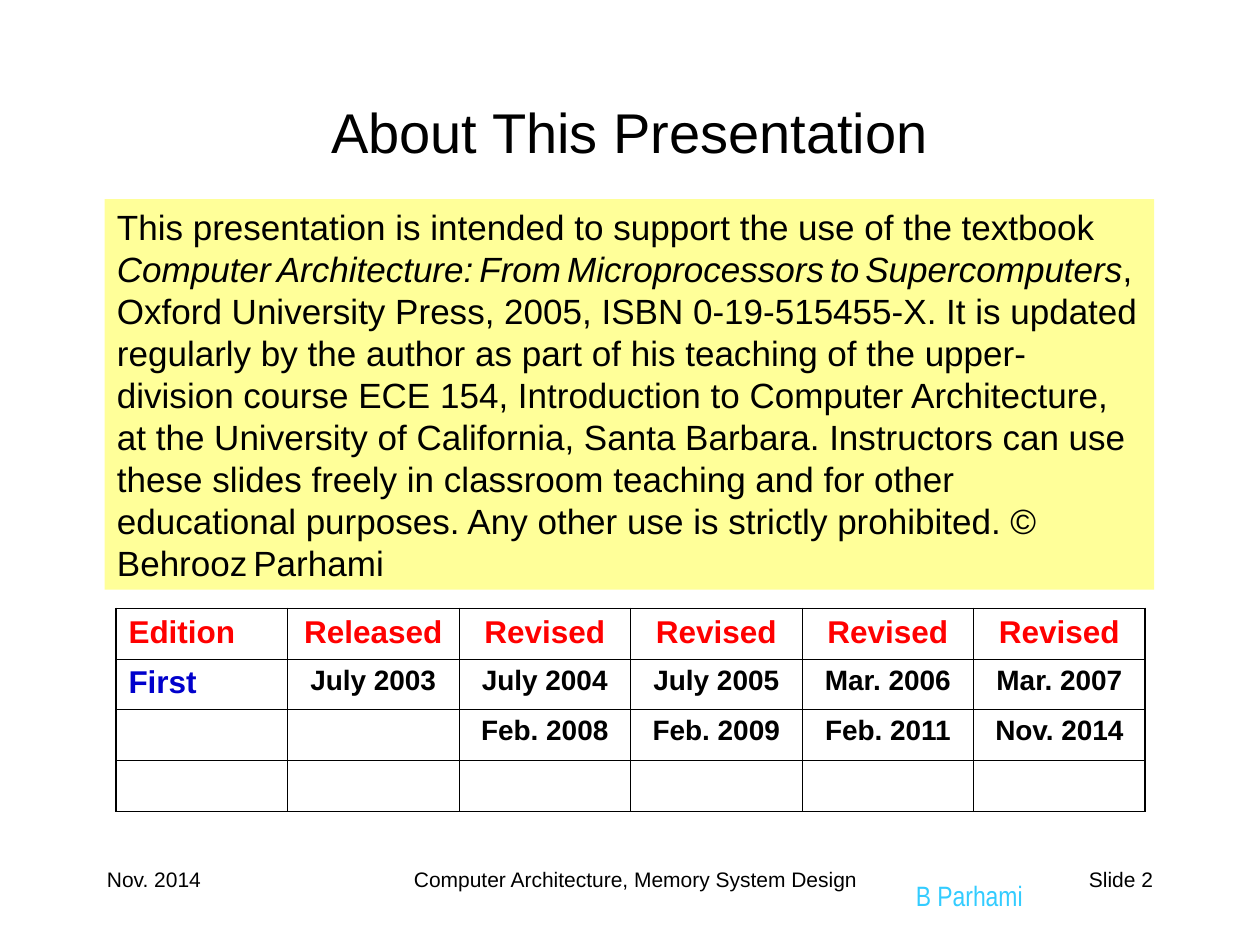
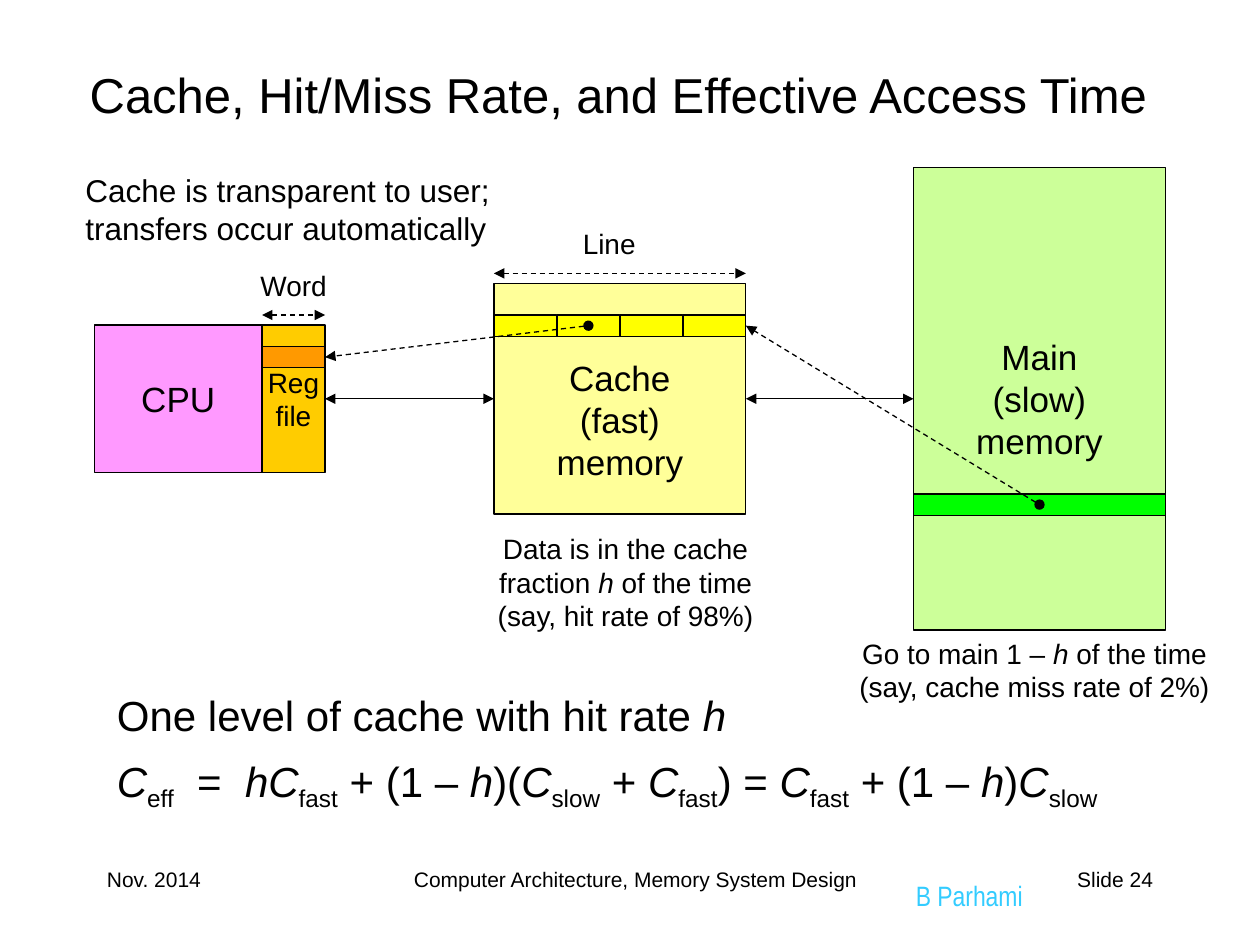
from pptx import Presentation
from pptx.dml.color import RGBColor as RGB
from pptx.enum.dml import MSO_LINE as DASH
from pptx.enum.shapes import MSO_CONNECTOR as LINK, MSO_SHAPE as SHAPE
from pptx.enum.text import MSO_ANCHOR as ANCHOR, MSO_AUTO_SIZE as FIT, PP_ALIGN as ALIGN
from pptx.oxml.ns import qn
from pptx.util import Inches, Pt
from lxml.etree import SubElement, Element

BLACK = RGB(0, 0, 0)
RED = RGB(255, 0, 0)
BLUE = RGB(0, 0, 204)
SKY = RGB(51, 204, 255)
CREAM = RGB(255, 255, 153)
YELLOW = RGB(255, 255, 0)
PINK = RGB(255, 153, 255)
GOLD = RGB(255, 204, 0)
ORANGE = RGB(255, 153, 0)
LIME = RGB(204, 255, 153)
GREEN = RGB(0, 255, 0)

FONT = "Arial"
NARROW = "Arial Narrow"
HAIR, EDGE = Pt(0.45), Pt(1.08)
SLOT = 0.17
WORD = 0.5


def inch(*sizes):
    return [Inches(size) for size in sizes]


def write(frame, *paras, size=16, color=BLACK, font=FONT, bold=False,
          align=ALIGN.LEFT, anchor=ANCHOR.TOP, wrap=True, gap=0, drop=0):
    frame.word_wrap = wrap
    frame.auto_size = FIT.NONE
    frame.vertical_anchor = anchor
    frame.margin_left = frame.margin_right = Inches(0.1)
    frame.margin_top = Inches(0.05 + drop)
    frame.margin_bottom = Inches(0.05)
    for n, runs in enumerate(paras):
        para = frame.add_paragraph() if n else frame.paragraphs[0]
        para.alignment = align
        if n and gap:
            para.space_before = Pt(gap)
        for text, style in [(runs, "")] if isinstance(runs, str) else runs:
            run = para.add_run()
            run.text = text
            run.font.name = font
            run.font.size = Pt(12 if "thin" in style else size)
            run.font.bold = bold
            run.font.italic = "ital" in style
            run.font.color.rgb = color
            if "sub" in style:
                run._r.get_or_add_rPr().set("baseline", "-25000")


def label(slide, box, *paras, **form):
    write(slide.shapes.add_textbox(*inch(*box)).text_frame, *paras, **form)


def block(slide, box, fill, *paras, line=True, **form):
    shape = slide.shapes.add_shape(SHAPE.RECTANGLE, *inch(*box))
    shape.shadow.inherit = False
    shape.fill.solid()
    shape.fill.fore_color.rgb = fill
    if line:
        shape.line.color.rgb = BLACK
        shape.line.width = Pt(0.75)
    else:
        shape.line.fill.background()
    if paras:
        write(shape.text_frame, *paras, **form)
    return shape


def center(shape):
    return shape.left + shape.width // 2, shape.top + shape.height // 2


def arrow(slide, start, end, head="triangle", dash=True):
    link = slide.shapes.add_connector(LINK.STRAIGHT, 0, 0, 0, 0)
    if isinstance(start[0], int):
        link.begin_x, link.begin_y = start
    else:
        link.begin_connect(*start)
    if isinstance(end[0], int):
        link.end_x, link.end_y = end
    else:
        link.end_connect(*end)
    link.line.color.rgb = BLACK
    link.line.width = Pt(0.75)
    if dash:
        link.line.dash_style = DASH.DASH
    ln = link.line._get_or_add_ln()
    SubElement(ln, qn("a:headEnd"), type=head)
    SubElement(ln, qn("a:tailEnd"), type="triangle")
    SubElement(link._element.spPr, qn("a:effectLst"))


def span(slide, left, top, width):
    arrow(slide, inch(left, top), inch(left + width, top))


def start(deck, title, box, size, number):
    slide = deck.slides.add_slide(deck.slide_layouts[5])
    head = slide.shapes.title
    head.left, head.top, head.width, head.height = inch(*box)
    write(head.text_frame, title, size=size, align=ALIGN.CENTER, anchor=ANCHOR.MIDDLE)
    footer(slide, (0.75, 6.83, 8.5, 0.5), number)
    return slide


def footer(slide, box, number):
    left, top, width, height = box
    side = 2.08
    label(slide, (left, top, side, height), "Nov. 2014", size=12)
    label(slide, (left + 1.67, top, 5.25, height),
          "Computer Architecture, Memory System Design", size=12, align=ALIGN.CENTER)
    label(slide, (left + width - side, top, side, height), f"Slide {number}",
          size=12, align=ALIGN.RIGHT)
    label(slide, (left + width - side, top + 0.09, 1.08, 0.42), "B Parhami",
          color=SKY, font=NARROW, wrap=False)


def spaced(text, style):
    runs = []
    for word in text.split():
        runs += [(word, style), (" ", style + " thin")]
    return runs[:-1]


def intro(slide, box):
    block(slide, box, CREAM, [
        ("This presentation is intended to support the use of the textbook ", ""),
        *spaced("Computer Architecture: From Microprocessors to Supercomputers", "ital"),
        (", Oxford University Press, 2005, ISBN 0-19-515455-X. It is updated regularly "
         "by the author as part of his teaching of the upper-division course ECE 154, "
         "Introduction to Computer Architecture, at the University of California, "
         "Santa Barbara. Instructors can use these slides freely in classroom teaching "
         "and for other educational purposes. Any other use is strictly prohibited. ", ""),
        *spaced("© Behrooz Parhami", ""),
    ], line=False, size=20)


def border(cell, widths):
    props = cell._tc.get_or_add_tcPr()
    for n, (side, width) in enumerate(zip("LRTB", widths)):
        ln = Element(qn(f"a:ln{side}"), w=str(int(width)))
        fill = SubElement(ln, qn("a:solidFill"))
        SubElement(fill, qn("a:srgbClr"), val=str(BLACK))
        props.insert(n, ln)


def dates(slide, box):
    rows = [
        ["Edition", "Released"] + ["Revised"] * 4,
        ["First", "July 2003", "July 2004", "July 2005", "Mar. 2006", "Mar. 2007"],
        ["", "", "Feb. 2008", "Feb. 2009", "Feb. 2011", "Nov. 2014"],
        [""] * 6,
    ]
    last, end = len(rows) - 1, len(rows[0]) - 1
    table = slide.shapes.add_table(len(rows), len(rows[0]), *inch(*box)).table
    table.first_row = table.horz_banding = False
    for r, row in enumerate(rows):
        for c, text in enumerate(row):
            cell = table.cell(r, c)
            cell.fill.background()
            border(cell, [EDGE if edge else HAIR
                          for edge in (c == 0, c == end, r == 0, r == last)])
            if text:
                write(cell.text_frame, text, bold=True,
                      size=18 if r == 0 or c == 0 else 16,
                      color=RED if r == 0 else BLUE if c == 0 else BLACK,
                      align=ALIGN.CENTER if c else ALIGN.LEFT)


def core(slide, box):
    left, top, width, height = box
    form = dict(align=ALIGN.CENTER, anchor=ANCHOR.MIDDLE, wrap=False)
    block(slide, (left, top, width - WORD, height), PINK, "CPU", size=20, **form)
    edge = left + width - WORD
    file = block(slide, (edge, top, WORD, height), GOLD, "Reg", "file", **form)
    word = block(slide, (edge, top + SLOT, WORD, SLOT), ORANGE)
    span(slide, edge, top - 0.08, WORD)
    label(slide, (edge - 0.25, top - 0.5, 1, 0.37), "Word", align=ALIGN.CENTER)
    return file, word


def cache(slide, box):
    left, top, width, height = box
    body = block(slide, box, CREAM, "Cache", "(fast)", "memory", size=20,
                 align=ALIGN.CENTER, anchor=ANCHOR.MIDDLE, wrap=False, drop=0.33)
    words = [block(slide, (left + n * WORD, top + 0.25, WORD, SLOT), YELLOW)
             for n in range(4)]
    span(slide, left, top - 0.08, width)
    label(slide, (left + 0.5, top - 0.5, 0.83, 0.37), "Line", align=ALIGN.CENTER)
    label(slide, (left - 0.09, top + height + 0.09, 2.27, 0.9),
          [("Data is in the cache fraction ", ""), ("h", "ital"), (" of the time", "")],
          "(say, hit rate of 98%)", align=ALIGN.CENTER)
    return body, words


def main_store(slide, box):
    left, top, width, height = box
    body = block(slide, box, LIME, "Main", "(slow)", "memory", size=20,
                 align=ALIGN.CENTER, anchor=ANCHOR.MIDDLE, wrap=False)
    line = block(slide, (left, top + 2.59, width, SLOT), GREEN)
    label(slide, (left - 0.58, top + height, 3.08, 0.64),
          [("Go to main 1 – ", ""), ("h", "ital"), (" of the time", "")],
          "(say, cache miss rate of 2%)", align=ALIGN.CENTER)
    return body, line


def formula(slide, box):
    fast = [("C", "ital"), ("fast", "sub")]
    slow = [("C", "ital"), ("slow", "sub")]
    miss = [(" + (1 – ", ""), ("h", "ital")]
    label(slide, box,
          [("One level of cache with hit rate", ""), (" h", "ital")],
          [("C", "ital"), ("eff", "sub"), ("  =  ", ""), ("h", "ital"), *fast, *miss,
           (")(", ""), *slow, (" + ", ""), *fast, (") = ", ""), *fast, *miss,
           (")", ""), *slow],
          size=24, gap=9)


def about(deck):
    slide = start(deck, "About This Presentation", (0.75, 0.5, 8.5, 1.08), 32, 2)
    intro(slide, (0.83, 1.58, 8.33, 3.1))
    dates(slide, (0.92, 4.83, 8.17, 1.6))


def rates(deck):
    slide = start(deck, "Cache, Hit/Miss Rate, and Effective Access Time ",
                  (0.25, 0.33, 9.42, 0.83), 28, 24)
    label(slide, (0.58, 1.31, 3.41, 0.7), "Cache is transparent to user;",
          "transfers occur automatically", size=18, wrap=False)
    file, word = core(slide, (0.75, 2.58, 1.83, 1.17))
    fast, words = cache(slide, (3.92, 2.25, 2, 1.83))
    slow, line = main_store(slide, (7.25, 1.33, 2, 3.67))
    arrow(slide, (file, 3), (fast, 1), dash=False)
    arrow(slide, (fast, 3), (slow, 1), dash=False)
    arrow(slide, center(words[1]), (word, 3), head="oval")
    arrow(slide, center(line), (words[-1], 3), head="oval")
    formula(slide, (0.83, 5.42, 8.36, 1.09))


def main():
    deck = Presentation()
    deck.slide_width, deck.slide_height = inch(10, 7.5)
    about(deck)
    rates(deck)
    deck.save("out.pptx")


if __name__ == "__main__":
    main()
